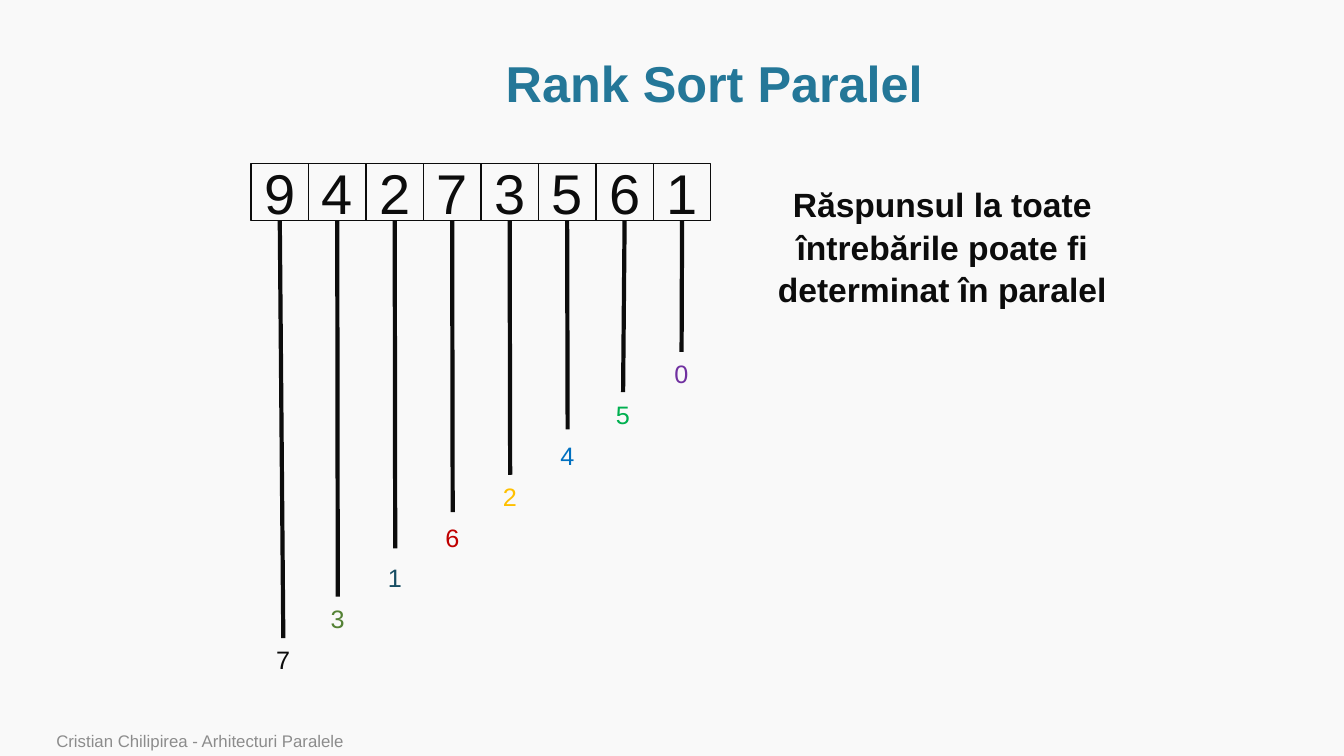
from pptx import Presentation
from pptx.dml.color import RGBColor
from pptx.enum.shapes import MSO_CONNECTOR, MSO_SHAPE
from pptx.enum.text import MSO_ANCHOR, MSO_AUTO_SIZE, PP_ALIGN
from pptx.oxml.ns import qn
from pptx.util import Inches, Pt
from lxml import etree

RECT = MSO_SHAPE.RECTANGLE
LINE = MSO_CONNECTOR.STRAIGHT
LEFT, CENTER = PP_ALIGN.LEFT, PP_ALIGN.CENTER
TOP, MIDDLE, BOTTOM = MSO_ANCHOR.TOP, MSO_ANCHOR.MIDDLE, MSO_ANCHOR.BOTTOM
GROW, FIXED = MSO_AUTO_SIZE.SHAPE_TO_FIT_TEXT, MSO_AUTO_SIZE.NONE

COLORS = {
    "back": "F9F9F9", "title": "247798", "ink": "0C0C0C", "foot": "8C8C8C",
    "olive": "548235", "teal": "174D63", "red": "C00000", "gold": "FFC000",
    "blue": "0070C0", "green": "00B050", "purple": "7030A0",
}


def rgb(name):
    return RGBColor.from_string(COLORS[name])


class Deck:
    """Holds the style and the current slide."""
    font = "Arial"

    def __init__(self):
        self.prs = Presentation()
        self.prs.slide_width = Inches(13.33)
        self.prs.slide_height = Inches(7.5)
        self.slide = self.prs.slides.add_slide(self.prs.slide_layouts[5])
        fill = self.slide.background.fill
        fill.solid()
        fill.fore_color.rgb = rgb("back")

    def label(self, shape, text, size, color, bold=False, align=CENTER,
              anchor=MIDDLE, space=None, wrap=True, fit=FIXED):
        frame = shape.text_frame
        frame.text = text
        frame.word_wrap = wrap
        frame.auto_size = fit
        frame.vertical_anchor = anchor
        para = frame.paragraphs[0]
        para.alignment = align
        if space:
            para.line_spacing = space
        font = para.font
        font.name, font.size, font.bold = self.font, Pt(size), bold
        font.color.rgb = rgb(color)

    def title(self, box, text):
        shape = self.slide.shapes.title
        shape.left, shape.top, shape.width, shape.height = map(Inches, box)
        self.label(shape, text, 36, "title", bold=True, space=0.9)

    def text(self, box, text, size, color, **style):
        shape = self.slide.shapes.add_textbox(*map(Inches, box))
        self.label(shape, text, size, color, **style)

    def cell(self, box, text):
        shape = self.slide.shapes.add_shape(RECT, *map(Inches, box))
        shape.shadow.inherit = False
        shape.fill.background()
        shape.line.color.rgb = rgb("ink")
        shape.line.width = Pt(1)
        self.label(shape, text, 40, "ink")
        return shape

    def drop(self, cell, x, y):
        """Draw a line from the bottom of a cell to a point."""
        line = self.slide.shapes.add_connector(
            LINE, Inches(x), cell.top + cell.height, Inches(x), Inches(y))
        line.begin_connect(cell, 2)
        line.line.color.rgb = rgb("ink")
        line.line.width = Pt(3)
        etree.SubElement(line._element.spPr, qn("a:effectLst"))


def main():
    deck = Deck()
    deck.title((1.14, 0.51, 11.89, 0.69), "Rank Sort Paralel")

    # Array cells, each with a line down to its rank:
    # value, rank, rank color, line end x and y
    items = [
        ("9", "7", "ink", 2.81, 6.33),
        ("4", "3", "olive", 3.35, 5.92),
        ("2", "1", "teal", 3.92, 5.44),
        ("7", "6", "red", 4.49, 5.08),
        ("3", "2", "gold", 5.06, 4.71),
        ("5", "4", "blue", 5.63, 4.26),
        ("6", "5", "green", 6.18, 3.89),
        ("1", "0", "purple", 6.76, 3.49),
    ]
    side, width = 0.57, 0.34
    step = (6.33 - 3.49) / (len(items) - 1)
    for i, (value, rank, color, x, y) in enumerate(items):
        cell = deck.cell((2.49 + i * side, 1.62, side, side), value)
        deck.drop(cell, x, y)
        deck.text((x - width / 2, 6.33 - i * step, width, 0.4), rank, 18,
                  color, align=LEFT, anchor=TOP, space=1.05, wrap=False,
                  fit=GROW)

    # Remark and footer
    deck.text((7.51, 1.76, 3.67, 1.31),
              "Răspunsul la toate întrebările poate fi determinat în paralel",
              24, "ink", bold=True, anchor=TOP, space=1.05, fit=GROW)
    deck.text((0.46, 7.22, 9.82, 0.28),
              "Cristian Chilipirea - Arhitecturi Paralele",
              12, "foot", align=LEFT, anchor=BOTTOM)

    deck.prs.save("out.pptx")


if __name__ == "__main__":
    main()
